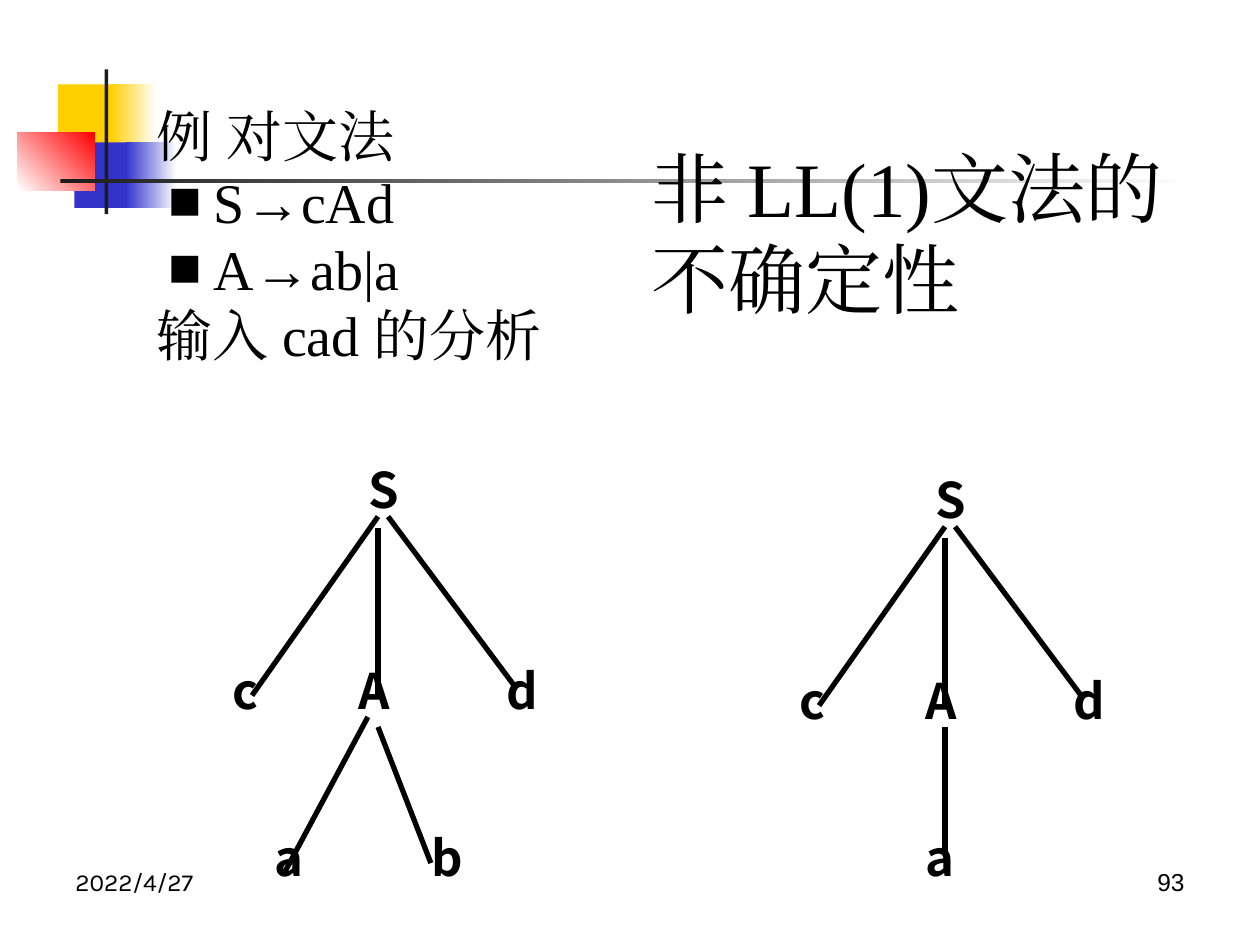
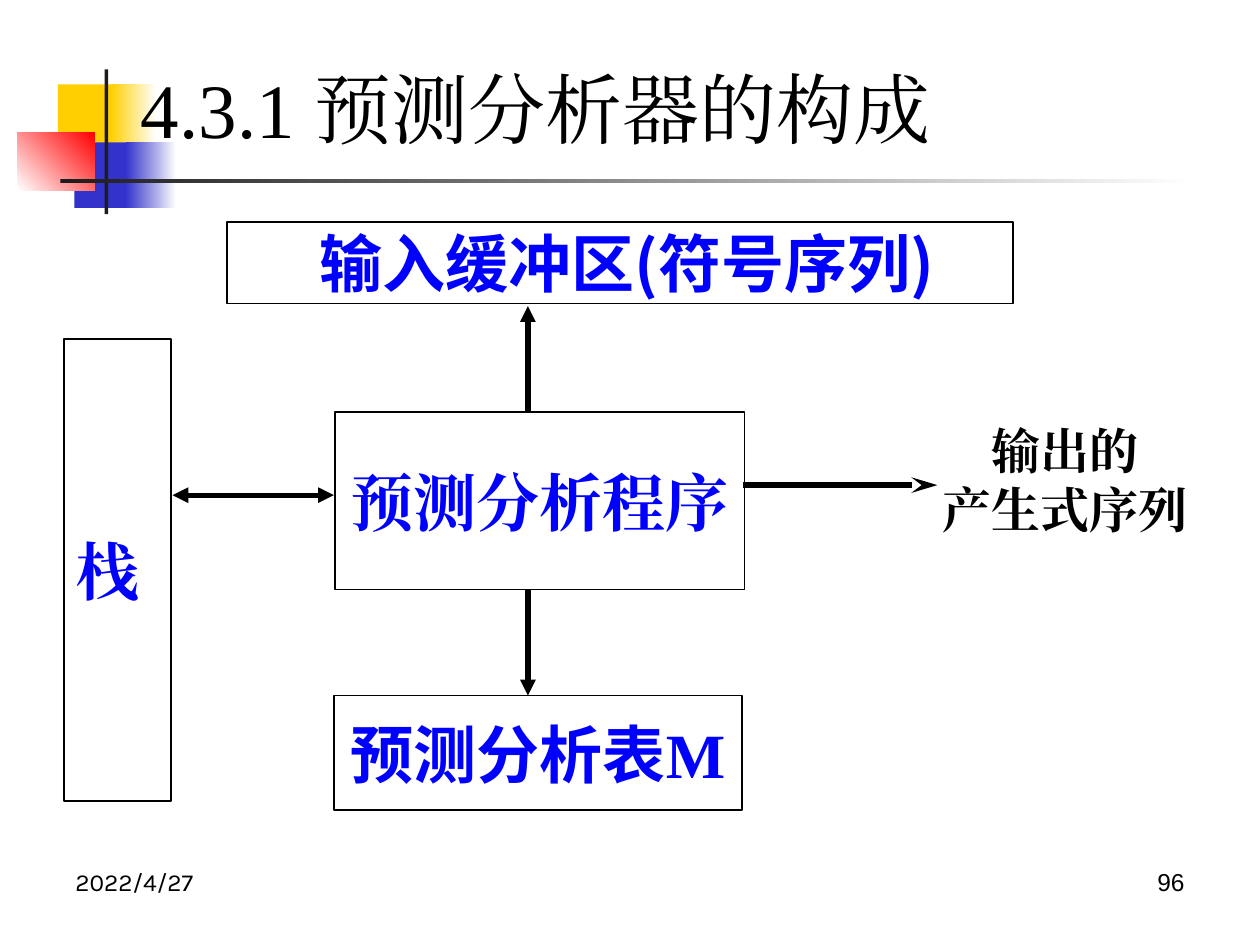
import dataclasses
import typing

import pptx
import pptx.dml.color
import pptx.enum.shapes
import pptx.enum.text
import pptx.oxml.ns
import pptx.oxml.xmlchemy
import pptx.util
from lxml import etree

PX = 9144  # EMU in one px, 100 px to the inch

BLACK = pptx.dml.color.RGBColor(0x00, 0x00, 0x00)
WHITE = pptx.dml.color.RGBColor(0xFF, 0xFF, 0xFF)
YELLOW = pptx.dml.color.RGBColor(0xFF, 0xCF, 0x01)
INDIGO = pptx.dml.color.RGBColor(0x33, 0x33, 0xCC)
RED = pptx.dml.color.RGBColor(0xFF, 0x00, 0x00)
CHARCOAL = pptx.dml.color.RGBColor(0x1C, 0x1C, 0x1C)
BLUE = pptx.dml.color.RGBColor(0x00, 0x00, 0xFF)

SERIF = "Times New Roman"
SANS = "Noto Sans CJK SC"

LEFT = pptx.enum.text.PP_ALIGN.LEFT
CENTER = pptx.enum.text.PP_ALIGN.CENTER
RIGHT = pptx.enum.text.PP_ALIGN.RIGHT
TOP = pptx.enum.text.MSO_ANCHOR.TOP
MIDDLE = pptx.enum.text.MSO_ANCHOR.MIDDLE


class Area(typing.NamedTuple):
    left: int
    top: int
    width: int
    height: int


@dataclasses.dataclass(frozen=True)
class TextStyle:
    font: str
    size: int
    color: pptx.dml.color.RGBColor = BLACK
    bold: bool = False
    align: pptx.enum.text.PP_ALIGN = LEFT
    anchor: pptx.enum.text.MSO_ANCHOR = TOP
    pitch: int = 0  # fixed line pitch in points, 0 for natural


class Block(typing.NamedTuple):
    area: Area
    start: pptx.dml.color.RGBColor
    end: typing.Optional[pptx.dml.color.RGBColor] = None
    angle: int = 0


class Node(typing.NamedTuple):
    label: str
    left: int
    top: int


class Edge(typing.NamedTuple):
    x1: int
    y1: int
    x2: int
    y2: int
    head: str = ""
    tail: str = ""


class Part(typing.NamedTuple):
    area: Area
    text: str
    style: TextStyle
    wrap: bool = False


TITLE = TextStyle(SERIF, 44, anchor=MIDDLE, pitch=52)
BODY = TextStyle(SERIF, 32, pitch=38)
NODE = TextStyle(SANS, 28, bold=True)
PART = TextStyle(SANS, 36, BLUE, True, CENTER, MIDDLE)
SERIF_PART = dataclasses.replace(PART, font=SERIF)
STACK = dataclasses.replace(SERIF_PART, align=LEFT)
OUTPUT = TextStyle(SERIF, 28, bold=True, align=CENTER, pitch=34)
DATE = TextStyle("Karla", 14)
NUMBER = TextStyle("Arial", 14, align=RIGHT)

# Corner ornament and rule shared by all pages
ORNAMENT = [
    Block(Area(46, 67, 48, 52), YELLOW),
    Block(Area(88, 67, 36, 52), YELLOW, WHITE),
    Block(Area(59, 113, 46, 52), INDIGO),
    Block(Area(100, 113, 40, 52), INDIGO, WHITE),
    Block(Area(14, 105, 61, 46), WHITE, RED, 45),
    Block(Area(83, 55, 3, 115), CHARCOAL),
    Block(Area(48, 142, 900, 3), CHARCOAL, WHITE),
]

# Parse trees: the shared top, then what differs below A
TOP_NODES = [Node("S", 283, 360), Node("d", 392, 519), Node("c", 175, 519), Node("A", 275, 519)]
TOP_EDGES = [Edge(300, 410, 200, 552), Edge(300, 419, 300, 552), Edge(308, 410, 408, 544)]
AB_NODES = [Node("b", 333, 652), Node("a", 208, 652)]
AB_EDGES = [Edge(300, 577, 342, 685), Edge(292, 569, 225, 694)]
A_NODES = [Node("a", 725, 652)]
A_EDGES = [Edge(750, 577, 750, 677)]
SECOND_TREE = (450, 8)

# Predictive parser diagram
PARTS = [
    Part(Area(180, 176, 624, 65), " 输入缓冲区(符号序列)", PART),
    Part(Area(51, 269, 85, 367), "栈", STACK, True),
    Part(Area(266, 327, 325, 141), "预测分析程序", SERIF_PART),
    Part(Area(265, 552, 324, 91), "预测分析表|M", PART),
]
ARROWS = [
    Edge(419, 326, 419, 243, tail="triangle"),
    Edge(265, 393, 137, 393, head="triangle", tail="triangle"),
    Edge(419, 468, 419, 552, tail="triangle"),
    Edge(590, 385, 744, 385, tail="stealth"),
]


def emu(area: Area) -> list[int]:
    return [length * PX for length in area]


def add_child(parent: etree._Element, tag: str, **attributes: str) -> None:
    child = etree.SubElement(parent, pptx.oxml.ns.qn(tag))
    for name, value in attributes.items():
        child.set(name, value)


def style_paragraph(para, style: TextStyle) -> None:
    para.alignment = style.align
    if style.pitch:
        para.line_spacing = pptx.util.Pt(style.pitch)
    para.font.name = style.font
    para.font.size = pptx.util.Pt(style.size)
    para.font.bold = style.bold
    para.font.color.rgb = style.color
    defaults = para._p.pPr.find(pptx.oxml.ns.qn("a:defRPr"))
    add_child(defaults, "a:ea", typeface=style.font)


def fill_text(frame, lines: list[str], style: TextStyle, wrap: bool = True) -> None:
    frame.word_wrap = wrap
    frame.vertical_anchor = style.anchor
    for index, line in enumerate(lines):
        para = frame.paragraphs[0] if index == 0 else frame.add_paragraph()
        para.add_run().text = line
        style_paragraph(para, style)


def add_text(page, area: Area, lines: list[str], style: TextStyle):
    box = page.shapes.add_textbox(*emu(area))
    fill_text(box.text_frame, lines, style)
    return box


def add_rectangle(page, area: Area):
    box = page.shapes.add_shape(pptx.enum.shapes.MSO_SHAPE.RECTANGLE, *emu(area))
    box.shadow.inherit = False
    return box


def add_block(page, block: Block) -> None:
    box = add_rectangle(page, block.area)
    box.line.fill.background()
    if block.end is None:
        box.fill.solid()
        box.fill.fore_color.rgb = block.start
        return
    box.fill.gradient()
    box.fill.gradient_angle = block.angle
    for stop, color in zip(box.fill.gradient_stops, (block.start, block.end)):
        stop.color.rgb = color


def add_edge(page, edge: Edge, dx: int = 0, dy: int = 0) -> None:
    ends = [(edge.x1 + dx) * PX, (edge.y1 + dy) * PX, (edge.x2 + dx) * PX, (edge.y2 + dy) * PX]
    line = page.shapes.add_connector(pptx.enum.shapes.MSO_CONNECTOR.STRAIGHT, *ends)
    line.line.color.rgb = BLACK
    line.line.width = pptx.util.Pt(3)
    outline = line.line._get_or_add_ln()
    for tag, kind in (("a:headEnd", edge.head), ("a:tailEnd", edge.tail)):
        if kind:
            add_child(outline, tag, type=kind, w="med", len="lg" if kind == "stealth" else "med")
    add_child(line._element.spPr, "a:effectLst")


def add_tree(page, nodes: list[Node], edges: list[Edge], dx: int = 0, dy: int = 0) -> None:
    for node in nodes:
        add_text(page, Area(node.left + dx, node.top + dy, 83, 61), [node.label], NODE)
    for edge in edges:
        add_edge(page, edge, dx, dy)


def add_part(page, part: Part) -> None:
    box = add_rectangle(page, part.area)
    box.fill.background()
    box.line.color.rgb = BLACK
    box.line.width = pptx.util.Pt(1)
    name, _, symbol = part.text.partition("|")
    fill_text(box.text_frame, [name], part.style, part.wrap)
    if symbol:
        span = box.text_frame.paragraphs[0].add_run()
        span.text = symbol
        span.font.name = SERIF


def add_square_bullet(para) -> None:
    properties = para._p.get_or_add_pPr()
    properties.set("marL", str(46 * PX))
    properties.set("indent", str(-36 * PX))
    bullet = etree.Element("bullet")
    add_child(bullet, "a:buSzPct", val="60000")
    add_child(bullet, "a:buFont", typeface=SANS)
    add_child(bullet, "a:buChar", char="■")
    defaults = properties.find(pptx.oxml.ns.qn("a:defRPr"))
    for child in list(bullet):
        defaults.addprevious(child)


def add_page(deck, title: str, title_area: Area, number: str):
    page = deck.slides.add_slide(deck.slide_layouts[6])
    for block in ORNAMENT:
        add_block(page, block)
    add_text(page, Area(50, 683, 233, 52), ["2022/4/27"], DATE)
    add_text(page, Area(717, 683, 233, 52), [number], NUMBER)
    add_text(page, title_area, [title], TITLE)
    return page


def add_ambiguity_page(deck) -> None:
    page = add_page(deck, "非 LL(1)文法的不确定性", Area(507, 110, 426, 150), "93")
    lines = ["例 对文法", "S→cAd", "A→ab|a", "输入 cad 的分析"]
    body = add_text(page, Area(114, 76, 383, 258), lines, BODY)
    for para in body.text_frame.paragraphs[1:3]:
        add_square_bullet(para)
    add_tree(page, TOP_NODES + AB_NODES, TOP_EDGES + AB_EDGES)
    add_tree(page, TOP_NODES, TOP_EDGES, *SECOND_TREE)
    add_tree(page, A_NODES, A_EDGES)


def add_parser_page(deck) -> None:
    page = add_page(deck, "4.3.1 预测分析器的构成", Area(102, 33, 734, 106), "96")
    for part in PARTS:
        add_part(page, part)
    for arrow in ARROWS:
        add_edge(page, arrow)
    add_text(page, Area(724, 328, 242, 104), ["输出的", "产生式序列"], OUTPUT)


def main() -> None:
    deck = pptx.Presentation()
    deck.slide_width = 1000 * PX
    deck.slide_height = 750 * PX
    add_ambiguity_page(deck)
    add_parser_page(deck)
    deck.save("out.pptx")


if __name__ == "__main__":
    main()
